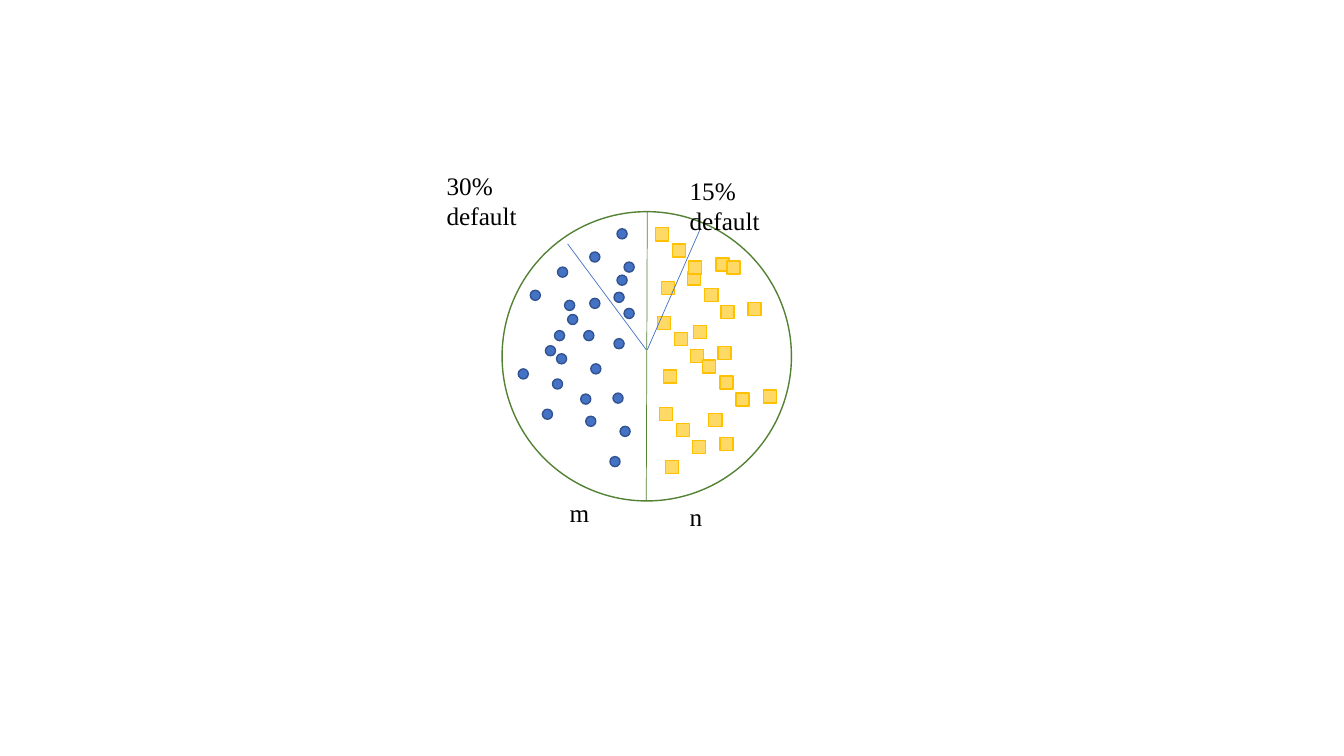
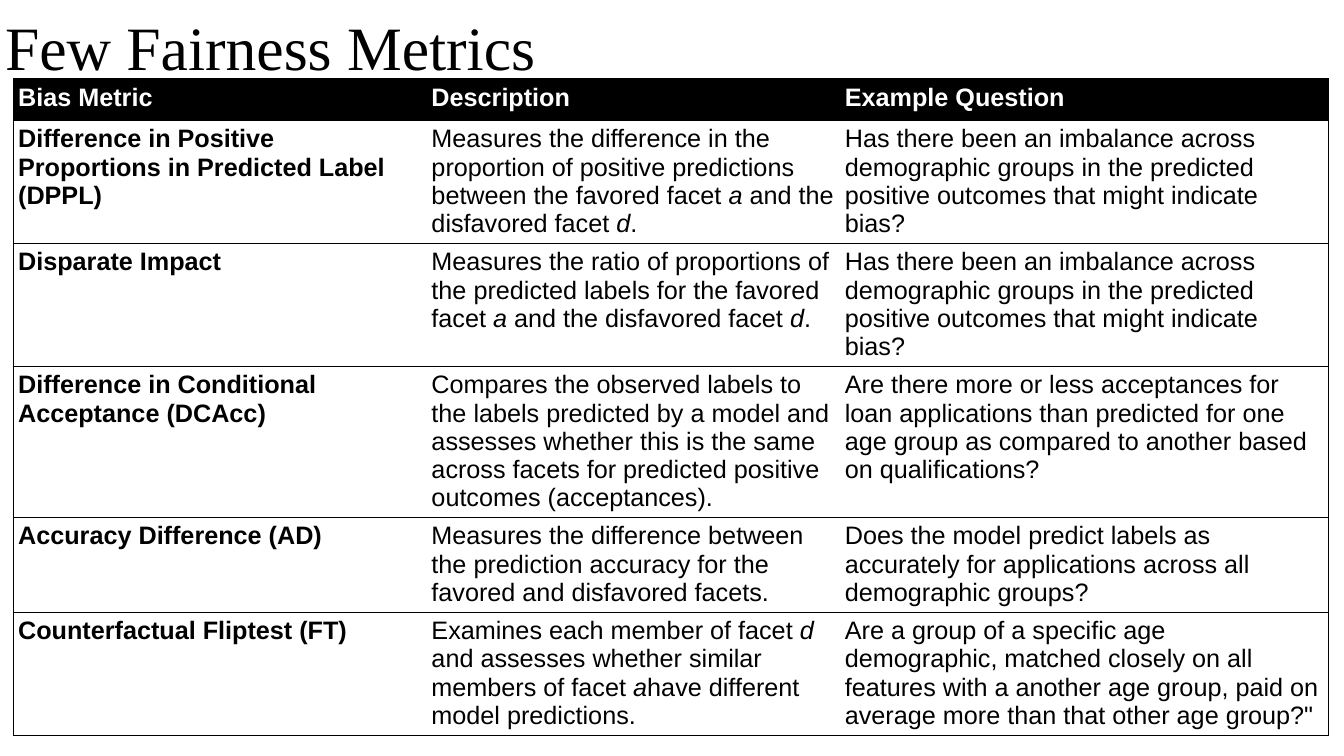
from lxml.etree import SubElement
from pptx import Presentation
from pptx.dml.color import RGBColor
from pptx.enum.shapes import MSO_CONNECTOR as Connector, MSO_SHAPE as Shape
from pptx.enum.text import MSO_ANCHOR as Anchor, MSO_AUTO_SIZE as AutoSize, PP_ALIGN as Align
from pptx.oxml.ns import qn
from pptx.util import Inches, Pt

BLACK, WHITE = "000000", "FFFFFF"
BLUE, DARK_BLUE, GREEN = "4472C4", "32538F", "548235"
YELLOW, GOLD = "FFD966", "FFC000"
SERIF, SANS = "Times New Roman", "Arial"
INSET = 0.05

DOT_CLUSTER = [(0, 0), (-0.27, 0.23), (0.07, 0.33), (-0.03, 0.63)]
DOT_STARTS = [(0.81, 1.18), (1.1, 1.8), (0.43, 1.33), (1.14, 0.63), (0.55, 0.55), (1.14, 0.17)]
LONE_DOT = (0.65, 1.02)
SQUARE_CLUSTER = [(0, 0), (0.17, 0.16), (0.33, 0.33), (0.6, 0.3), (0.06, 0.53)]
SQUARE_STARTS = [(1.84, 0.6), (1.54, 1.04), (1.56, 1.94), (1.99, 1.47), (1.52, 0.16)]
LONE_SQUARE = (2.23, 0.49)
DIVIDER = (1.44, 0, 1.43, 2.87)
DEFAULT_CUTS = [(1.43, 1.37, 0.65, 0.32), (1.44, 1.37, 1.97, 0.16)]
GROUP_NAMES = [("m", 0.62, 2.78, 0.31), ("n", 1.81, 2.82, 0.24)]
DEFAULT_RATES = [("30% default", -0.6, -0.46, 1.28), ("15% default", 1.81, -0.41, 1.28)]

METRIC_COLUMNS = [4.1, 4.1, 4.85]
METRIC_ROWS = [0.41, 0.41, 0.55, 0.41, 0.41, 0.41]
IMBALANCE = (
    "Has there been an imbalance across demographic groups in the predicted "
    "positive outcomes that might indicate bias?"
)
METRICS = [
    ("Bias Metric", "Description", "Example Question"),
    (
        "Difference in Positive Proportions in Predicted Label (DPPL)",
        "Measures the difference in the proportion of positive predictions between "
        "the favored facet *a* and the disfavored facet *d*.",
        IMBALANCE,
    ),
    (
        "Disparate Impact",
        "Measures the ratio of proportions of the predicted labels for the favored "
        "facet *a* and the disfavored facet *d*.",
        IMBALANCE,
    ),
    (
        "Difference in Conditional Acceptance (DCAcc)",
        "Compares the observed labels to the labels predicted by a model and assesses "
        "whether this is the same across facets for predicted positive outcomes (acceptances).",
        "Are there more or less acceptances for loan applications than predicted for "
        "one age group as compared to another based on qualifications?",
    ),
    (
        "Accuracy Difference (AD)",
        "Measures the difference between the prediction accuracy for the favored and "
        "disfavored facets.",
        "Does the model predict labels as accurately for applications across all "
        "demographic groups?",
    ),
    (
        "Counterfactual Fliptest (FT)",
        "Examines each member of facet *d* and assesses whether similar members of "
        "facet *a*have different model predictions.",
        "Are a group of a specific age demographic, matched closely on all features "
        'with a another age group, paid on average more than that other age group?"',
    ),
]


def color(value):
    """Return the colour of a hex string."""
    return RGBColor.from_string(value)


def style_font(font, name, size, value, bold=False):
    """Set the typeface, size, colour and weight of a font."""
    font.name, font.size, font.bold = name, Pt(size), bold
    font.color.rgb = color(value)


def set_insets(target):
    """Give a text frame or cell the shared margins."""
    target.margin_left = target.margin_right = Inches(INSET)
    target.margin_top = target.margin_bottom = Inches(INSET)


def add_mark(slide, kind, left, top, size, outline, fill=None):
    """Add an outlined shape of equal width and height."""
    mark = slide.shapes.add_shape(kind, Inches(left), Inches(top), Inches(size), Inches(size))
    mark.shadow.inherit = False
    mark.line.color.rgb = color(outline)
    mark.line.width = Pt(1)
    if fill:
        mark.fill.solid()
        mark.fill.fore_color.rgb = color(fill)
    else:
        mark.fill.background()


def add_line(slide, left, top, ends, value):
    """Add a thin straight line whose ends are relative to a corner."""
    x1, y1, x2, y2 = ends
    line = slide.shapes.add_connector(
        Connector.STRAIGHT, Inches(left + x1), Inches(top + y1), Inches(left + x2), Inches(top + y2)
    )
    line.line.color.rgb = color(value)
    line.line.width = Pt(0.5)
    SubElement(line.element.spPr, qn("a:effectLst"))


def add_label(slide, text, left, top, width, wrap, right_inset):
    """Add a serif label."""
    label = slide.shapes.add_textbox(Inches(left), Inches(top), Inches(width), Inches(0.39))
    frame = label.text_frame
    set_insets(frame)
    frame.margin_right = Inches(right_inset)
    frame.word_wrap = wrap
    frame.text = text
    style_font(frame.paragraphs[0].runs[0].font, SERIF, 18, BLACK)


def spread(starts, cluster, lone):
    """List the places of a cluster repeated at each start, and a lone one."""
    return [(x + dx, y + dy) for x, y in starts for dx, dy in cluster] + [lone]


def add_population(slide, left, top, size):
    """Draw the divided population with its marks, cuts and labels."""
    add_mark(slide, Shape.OVAL, left, top, size, GREEN)
    add_line(slide, left, top, DIVIDER, GREEN)
    for x, y in spread(DOT_STARTS, DOT_CLUSTER, LONE_DOT):
        add_mark(slide, Shape.OVAL, left + x, top + y, 0.1, DARK_BLUE, BLUE)
    for x, y in spread(SQUARE_STARTS, SQUARE_CLUSTER, LONE_SQUARE):
        add_mark(slide, Shape.RECTANGLE, left + x, top + y, 0.13, GOLD, YELLOW)
    for cut in DEFAULT_CUTS:
        add_line(slide, left, top, cut, BLUE)
    for text, x, y, width in GROUP_NAMES:
        add_label(slide, text, left + x, top + y, width, False, INSET)
    for text, x, y, width in DEFAULT_RATES:
        add_label(slide, text, left + x, top + y, width, True, 0.25)


def add_title(slide, text, left, top, width, height):
    """Place and format the title placeholder."""
    title = slide.shapes.title
    title.left, title.top = Inches(left), Inches(top)
    title.width, title.height = Inches(width), Inches(height)
    frame = title.text_frame
    frame.text = text
    frame.auto_size = AutoSize.NONE
    frame.word_wrap = True
    frame.vertical_anchor = Anchor.MIDDLE
    set_insets(frame)
    heading = frame.paragraphs[0]
    heading.alignment = Align.LEFT
    heading.line_spacing = 0.9
    style_font(heading.runs[0].font, SERIF, 44, BLACK)


def set_borders(cell, drawn_sides):
    """Draw thin black borders on the given sides and clear the others."""
    properties = cell._tc.get_or_add_tcPr()
    for side in "LRTB":
        border = SubElement(properties, qn(f"a:ln{side}"), w=str(Pt(0.5)))
        if side in drawn_sides:
            fill = SubElement(border, qn("a:solidFill"))
            SubElement(fill, qn("a:srgbClr"), val=BLACK)
        else:
            SubElement(border, qn("a:noFill"))


def fill_cell(cell, text, header, bold):
    """Write a cell, with the parts between asterisks in italics."""
    set_insets(cell)
    if header:
        cell.fill.solid()
        cell.fill.fore_color.rgb = color(BLACK)
    else:
        cell.fill.background()
    paragraph = cell.text_frame.paragraphs[0]
    for index, part in enumerate(text.split("*")):
        run = paragraph.add_run()
        run.text = part
        style_font(run.font, SANS, 18, WHITE if header else BLACK, bold)
        run.font.italic = index % 2 == 1


def add_metrics(slide, left, top):
    """Add the table of metrics, ruled between rows and around the outside."""
    table = slide.shapes.add_table(
        len(METRIC_ROWS), len(METRIC_COLUMNS), Inches(left), Inches(top),
        Inches(sum(METRIC_COLUMNS)), Inches(sum(METRIC_ROWS)),
    ).table
    table.first_row = table.horz_banding = False
    for column, width in zip(table.columns, METRIC_COLUMNS):
        column.width = Inches(width)
    for row, height in zip(table.rows, METRIC_ROWS):
        row.height = Inches(height)
    outer_sides = ["L", "", "R"]
    for r, texts in enumerate(METRICS):
        for c, text in enumerate(texts):
            cell = table.cell(r, c)
            set_borders(cell, "TB" + outer_sides[c])
            fill_cell(cell, text, r == 0, r == 0 or c == 0)


def main():
    """Build and save the presentation."""
    deck = Presentation()
    deck.slide_width, deck.slide_height = Inches(13.33), Inches(7.5)
    title_only, blank = deck.slide_layouts[5], deck.slide_layouts[6]
    add_population(deck.slides.add_slide(blank), 4.98, 2.1, 2.87)
    metrics = deck.slides.add_slide(title_only)
    add_metrics(metrics, 0.13, 0.78)
    add_title(metrics, "Few Fairness Metrics", 0, -0.22, 11.5, 1.45)
    deck.save("out.pptx")


if __name__ == "__main__":
    main()
